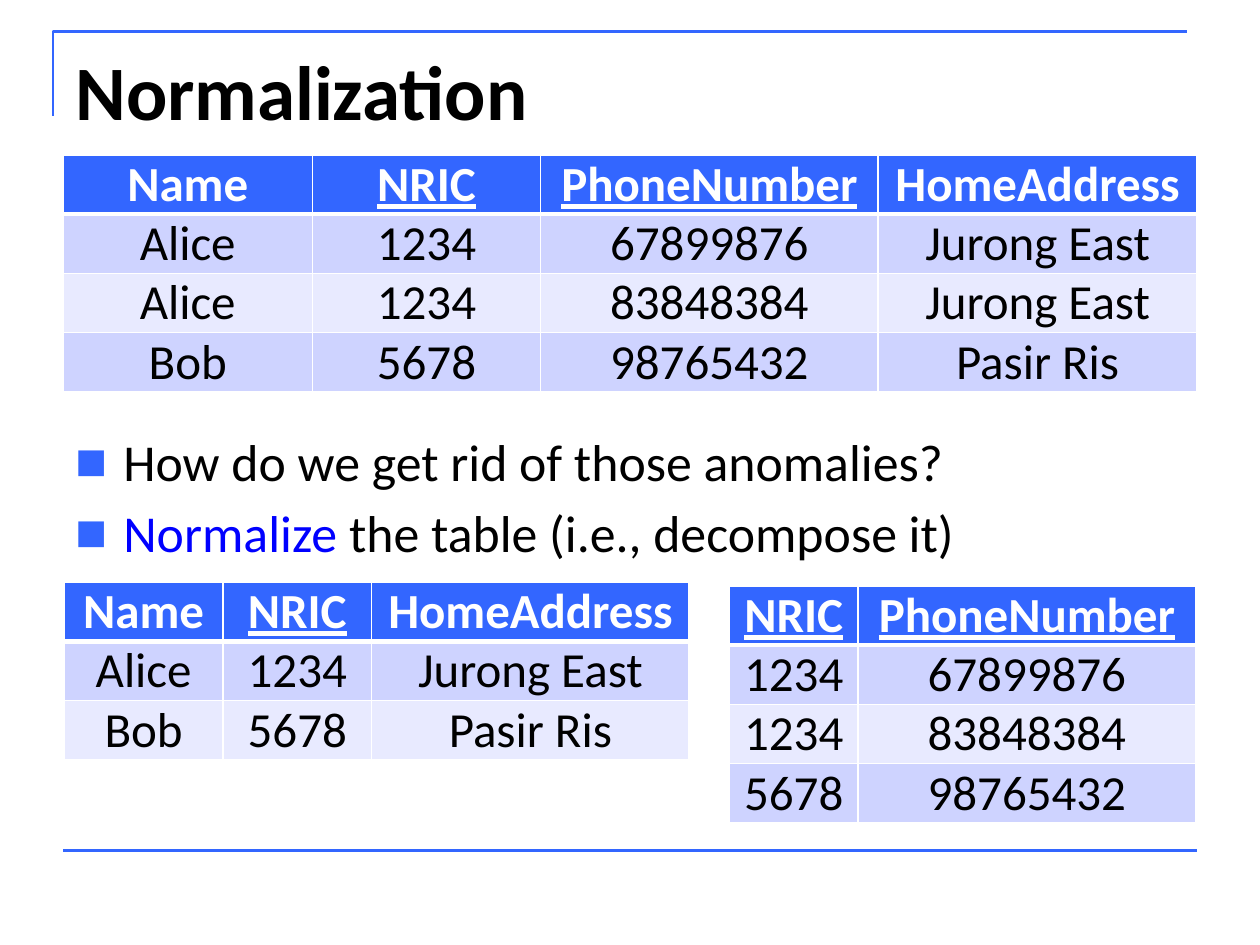
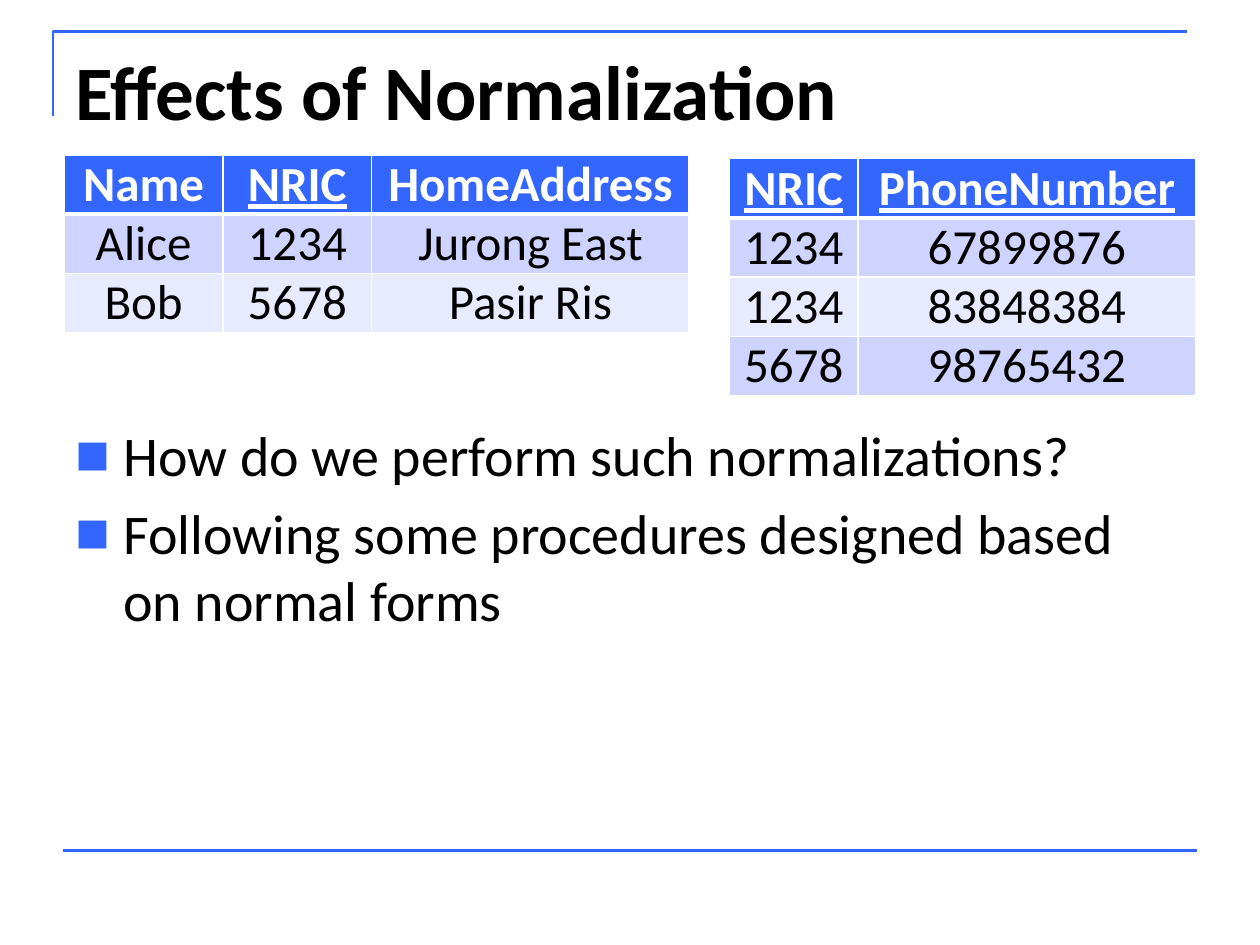
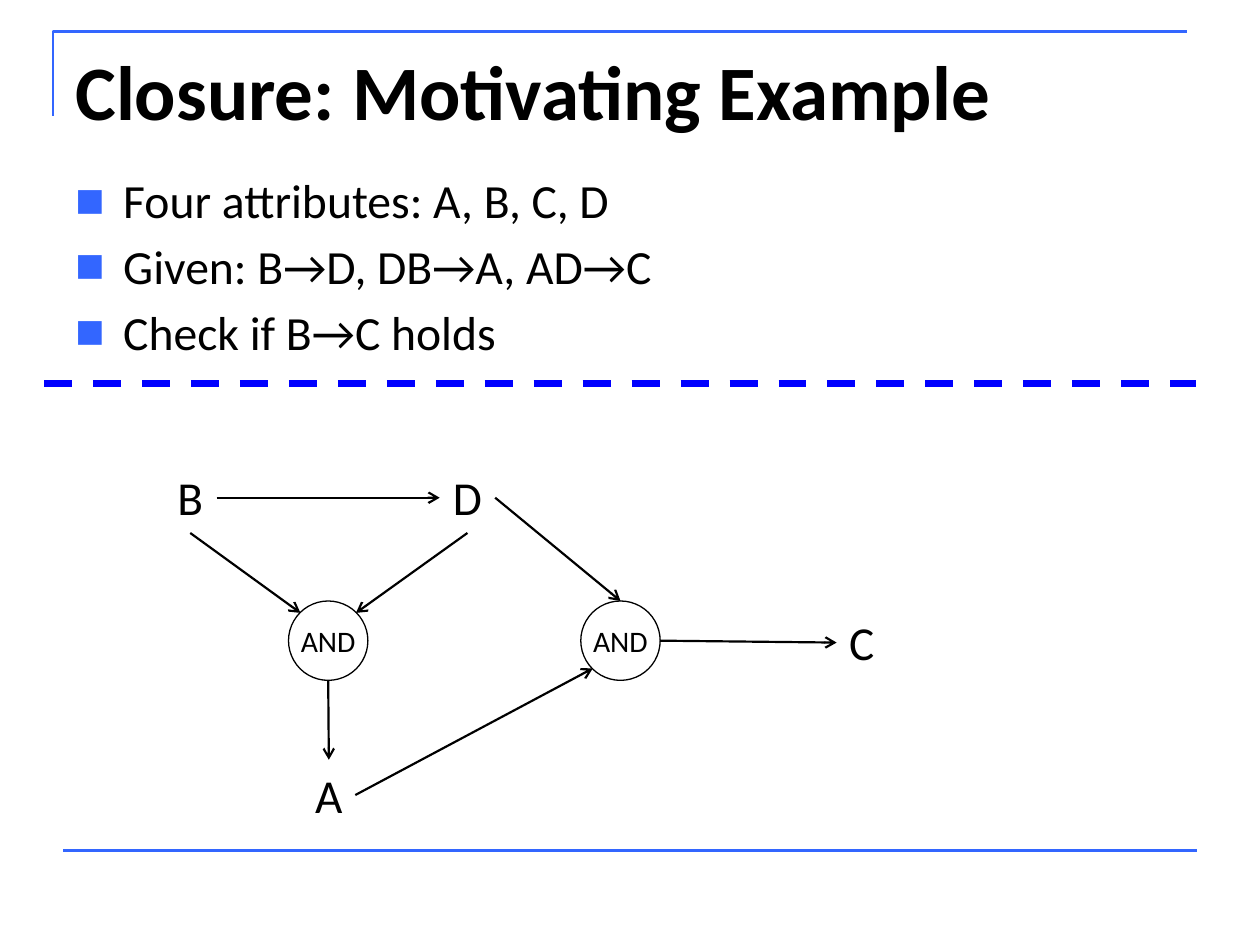
from dataclasses import dataclass

from lxml.etree import SubElement
from pptx import Presentation
from pptx.dml.color import RGBColor
from pptx.enum.dml import MSO_LINE
from pptx.enum.shapes import MSO_CONNECTOR, MSO_SHAPE
from pptx.enum.text import MSO_ANCHOR, PP_ALIGN
from pptx.oxml.ns import qn
from pptx.util import Inches, Pt


@dataclass(frozen=True)
class Theme:
    font: str = "Calibri"
    accent: str = "3366FF"
    highlight: str = "0000FF"
    ink: str = "000000"
    paper: str = "FFFFFF"
    bands: tuple = ("CED3FF", "E8EAFF")
    title_size: float = 44
    table_size: float = 28
    node_size: float = 27
    gate_size: float = 17


THEME = Theme()
ROW_HEIGHT = 0.47
KEYS = {"NRIC", "PhoneNumber"}
HEADINGS = ("Name", "NRIC", "PhoneNumber", "HomeAddress")
CONTACTS = [
    ("Alice", "1234", "67899876", "Jurong East"),
    ("Alice", "1234", "83848384", "Jurong East"),
    ("Bob", "5678", "98765432", "Pasir Ris"),
]

TOP, BOTTOM, LEFT, RIGHT = (0.5, 0), (0.5, 1), (0, 0.5), (1, 0.5)
UPPER_LEFT, UPPER_RIGHT, LOWER_LEFT = (0.15, 0.15), (0.85, 0.15), (0.15, 0.85)


def rgb(value):
    return RGBColor.from_string(value)


def write(frame, paragraphs, size, color=THEME.ink, bold=False, underline=False,
          align=PP_ALIGN.LEFT, bullet=False, gap=0, wrap=True):
    frame.word_wrap = wrap
    for index, pieces in enumerate(paragraphs):
        paragraph = frame.add_paragraph() if index else frame.paragraphs[0]
        paragraph.alignment = align
        if bullet:
            add_bullet(paragraph)
        paragraph.space_before = Pt(gap if index else 0)
        for piece in [pieces] if isinstance(pieces, str) else pieces:
            words, tint = (piece, color) if isinstance(piece, str) else piece
            run = paragraph.add_run()
            run.text = words
            run.font.name = THEME.font
            run.font.size = Pt(size)
            run.font.bold = bold
            run.font.underline = underline
            run.font.color.rgb = rgb(tint)


def add_bullet(paragraph):
    properties = paragraph._p.get_or_add_pPr()
    properties.set("marL", str(Inches(0.38)))
    properties.set("indent", str(-Inches(0.38)))
    tint = SubElement(properties, qn("a:buClr"))
    SubElement(tint, qn("a:srgbClr"), val=THEME.accent)
    SubElement(properties, qn("a:buSzPct"), val="65000")
    SubElement(properties, qn("a:buFont"), typeface=THEME.font)
    SubElement(properties, qn("a:buChar"), char="■")


def add_borders(cell, top, bottom):
    properties = cell._tc.get_or_add_tcPr()
    for side, width in (("L", 1), ("R", 1), ("T", top), ("B", bottom)):
        border = SubElement(properties, qn(f"a:ln{side}"), w=str(Pt(width)))
        fill = SubElement(border, qn("a:solidFill"))
        SubElement(fill, qn("a:srgbClr"), val=THEME.paper)


def project(*columns):
    places = [HEADINGS.index(column) for column in columns]
    rows = [tuple(contact[place] for place in places) for contact in CONTACTS]
    return [columns, *dict.fromkeys(rows)]


class Deck:
    def __init__(self):
        self.presentation = Presentation()
        self.presentation.slide_width = Inches(10)
        self.presentation.slide_height = Inches(7.5)
        self.shapes = None

    def slide(self, title):
        blank = self.presentation.slide_layouts[6]
        self.shapes = self.presentation.slides.add_slide(blank).shapes
        builder = self.shapes.build_freeform(Inches(0.42), Inches(0.92))
        builder.add_line_segments(
            [(Inches(0.42), Inches(0.25)), (Inches(9.42), Inches(0.25))], close=False)
        self.outline(builder.convert_to_shape(), THEME.accent, 1.5)
        self.line((0.5, 6.75), (9.5, 6.75), THEME.accent, 1.5)
        self.text((0.5, 0.3, 9, 1.25), [title], size=THEME.title_size, bold=True)

    def outline(self, shape, color, width):
        shape.shadow.inherit = False
        shape.fill.background()
        shape.line.color.rgb = rgb(color)
        shape.line.width = Pt(width)

    def text(self, box, paragraphs, **style):
        holder = self.shapes.add_textbox(*map(Inches, box))
        write(holder.text_frame, paragraphs, **style)
        return holder

    def bullets(self, box, paragraphs, size):
        self.text(box, paragraphs, size=size, bullet=True, gap=round(size * 0.18, 1))

    def line(self, start, end, color, width, dash=None, arrow=False):
        connector = self.shapes.add_connector(
            MSO_CONNECTOR.STRAIGHT, *map(Inches, (*start, *end)))
        connector.line.color.rgb = rgb(color)
        connector.line.width = Pt(width)
        if dash:
            connector.line.dash_style = dash
        if arrow:
            SubElement(connector.line._get_or_add_ln(), qn("a:tailEnd"), type="arrow")
        SubElement(connector._element.spPr, qn("a:effectLst"))

    def table(self, left, top, widths, rows):
        table = self.shapes.add_table(
            len(rows), len(widths), Inches(left), Inches(top),
            Inches(sum(widths)), Inches(ROW_HEIGHT * len(rows))).table
        for column, width in zip(table.columns, widths):
            column.width = Inches(width)
        for r, values in enumerate(rows):
            table.rows[r].height = Inches(ROW_HEIGHT)
            header = r == 0
            for c, value in enumerate(values):
                cell = table.cell(r, c)
                cell.margin_top = cell.margin_bottom = 0
                add_borders(cell, 3 if r == 1 else 1, 3 if header else 1)
                cell.fill.solid()
                cell.fill.fore_color.rgb = rgb(
                    THEME.accent if header else THEME.bands[(r - 1) % 2])
                write(cell.text_frame, [value], size=THEME.table_size,
                      color=THEME.paper if header else THEME.ink, bold=header,
                      underline=value in KEYS, align=PP_ALIGN.CENTER)

    def decomposition(self, top):
        self.table(0.51, top, (1.26, 1.18, 2.52), project("Name", "NRIC", "HomeAddress"))
        self.table(5.79, top + 0.03, (1.02, 2.68), project("NRIC", "PhoneNumber"))

    def attribute(self, letter, left, top, width):
        box = (left, top, width, 0.56)
        self.text(box, [letter], size=THEME.node_size, align=PP_ALIGN.CENTER, wrap=False)
        return box

    def gate(self, left, top):
        box = (left, top, 0.63, 0.63)
        circle = self.shapes.add_shape(MSO_SHAPE.OVAL, *map(Inches, box))
        self.outline(circle, THEME.ink, 0.75)
        frame = circle.text_frame
        frame.margin_left = frame.margin_right = 0
        frame.margin_top = frame.margin_bottom = 0
        frame.vertical_anchor = MSO_ANCHOR.MIDDLE
        write(frame, ["AND"], size=THEME.gate_size, align=PP_ALIGN.CENTER, wrap=False)
        return box

    def implies(self, source, exit_side, target, entry_side):
        start, end = (
            (left + width * x, top + height * y)
            for (left, top, width, height), (x, y)
            in ((source, exit_side), (target, entry_side)))
        self.line(start, end, THEME.ink, 1.25, arrow=True)


def normalization(deck):
    deck.slide("Normalization")
    deck.bullets((0.5, 3.36, 9.22, 1.02), [
        "How do we get rid of those anomalies?",
        [("Normalize", THEME.highlight), " the table (i.e., decompose it)"],
    ], size=29.6)
    deck.table(0.5, 1.23, (1.98, 1.81, 2.68, 2.53), project(*HEADINGS))
    deck.decomposition(4.62)


def effects(deck):
    deck.slide("Effects of Normalization")
    deck.bullets((0.5, 3.29, 9, 3.42), [
        "How do we perform such normalizations?",
        "Following some procedures designed based on normal forms",
    ], size=32)
    deck.decomposition(1.23)


def closure(deck):
    deck.slide("Closure: Motivating Example")
    deck.bullets((0.5, 1.31, 9, 1.5), [
        "Four attributes: A, B, C, D",
        "Given: B→D, DB→A, AD→C",
        "Check if B→C holds",
    ], size=27.2)
    deck.line((0.35, 3.04), (9.49, 3.04), THEME.highlight, 4, dash=MSO_LINE.DASH)
    a = deck.attribute("A", 2.4, 6.03, 0.42)
    b = deck.attribute("B", 1.3, 3.67, 0.42)
    c = deck.attribute("C", 6.64, 4.82, 0.4)
    d = deck.attribute("D", 3.49, 3.67, 0.44)
    b_and_d = deck.gate(2.29, 4.77)
    a_and_d = deck.gate(4.61, 4.77)
    for implication in (
        (b, RIGHT, d, LEFT),
        (b, BOTTOM, b_and_d, UPPER_LEFT),
        (d, BOTTOM, b_and_d, UPPER_RIGHT),
        (b_and_d, BOTTOM, a, TOP),
        (d, RIGHT, a_and_d, TOP),
        (a, RIGHT, a_and_d, LOWER_LEFT),
        (a_and_d, RIGHT, c, LEFT),
    ):
        deck.implies(*implication)


def main():
    deck = Deck()
    normalization(deck)
    effects(deck)
    closure(deck)
    deck.presentation.save("out.pptx")


if __name__ == "__main__":
    main()
